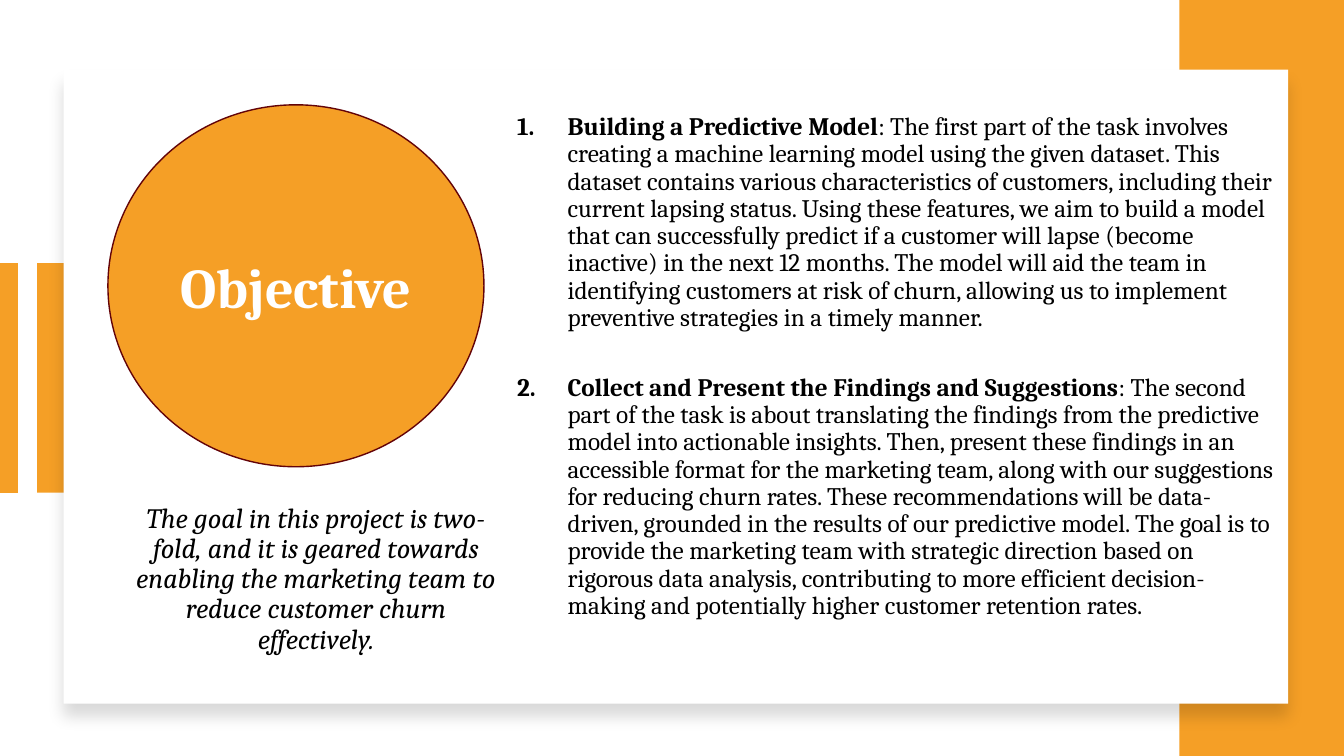
from lxml.etree import SubElement
from pptx import Presentation
from pptx.dml.color import RGBColor
from pptx.enum.shapes import MSO_CONNECTOR, MSO_SHAPE
from pptx.enum.text import MSO_ANCHOR, MSO_AUTO_SIZE, PP_ALIGN
from pptx.oxml.ns import qn
from pptx.util import Pt

COLORS = {"orange": "F59F26", "maroon": "630308", "white": "FFFFFF", "black": "000000"}
FONT = "Cambria"
GOAL = (
    "The goal in this project is two-fold, and it is geared towards enabling "
    "the marketing team to reduce customer churn effectively."
)
TASKS = [
    (
        "Building a Predictive Model",
        ": The first part of the task involves creating a machine learning model using the "
        "given dataset. This dataset contains various characteristics of customers, including "
        "their current lapsing status. Using these features, we aim to build a model that can "
        "successfully predict if a customer will lapse (become inactive) in the next 12 months. "
        "The model will aid the team in identifying customers at risk of churn, allowing us to "
        "implement preventive strategies in a timely manner.",
    ),
    (
        "Collect and Present the Findings and Suggestions",
        ": The second part of the task is about translating the findings from the predictive "
        "model into actionable insights. Then, present these findings in an accessible format "
        "for the marketing team, along with our suggestions for reducing churn rates. These "
        "recommendations will be data-driven, grounded in the results of our predictive model. "
        "The goal is to provide the marketing team with strategic direction based on rigorous "
        "data analysis, contributing to more efficient decision-making and potentially higher "
        "customer retention rates.",
    ),
]


def color(name):
    return RGBColor.from_string(COLORS[name])


def set_format(target, values):
    for name, value in values.items():
        setattr(target, name, value)


def add_filled(shapes, kind, box, fill, line=None):
    shape = shapes.add_shape(kind, *map(Pt, box))
    shape.shadow.inherit = False
    shape.fill.solid()
    shape.fill.fore_color.rgb = color(fill)
    if line:
        shape.line.color.rgb = color(line)
        shape.line.width = Pt(1)
    else:
        shape.line.fill.background()
    return shape


def add_span(para, text, size, ink="black", **values):
    span = para.add_run()
    span.text = text
    set_format(span.font, {"name": FONT, "size": Pt(size), "bold": False, "italic": False, **values})
    span.font.color.rgb = color(ink)


def place_text(page, holder, box, anchor=MSO_ANCHOR.TOP):
    page.shapes._spTree.append(holder._element)
    set_format(holder, dict(zip(("left", "top", "width", "height"), map(Pt, box))))
    frame = holder.text_frame
    set_format(frame, {
        "margin_left": 0, "margin_top": 0, "margin_right": 0, "margin_bottom": 0,
        "word_wrap": True, "auto_size": MSO_AUTO_SIZE.NONE, "vertical_anchor": anchor,
    })
    return frame


def set_indent(para, indent, number_scheme=None):
    properties = para._p.get_or_add_pPr()
    properties.set("marL", str(Pt(indent)))
    properties.set("indent", str(-Pt(indent)))
    if number_scheme:
        SubElement(properties, qn("a:buFont"), typeface=FONT)
        SubElement(properties, qn("a:buAutoNum"), type=number_scheme)
    else:
        SubElement(properties, qn("a:buNone"))


def add_left_bars(page, box):
    left, top, width, height = box
    group = page.shapes.add_group_shape()
    add_filled(group.shapes, MSO_SHAPE.RECTANGLE, (left + width - 24.5, top, 24.5, height), "orange")
    x = left + 5.8
    bar = group.shapes.add_connector(MSO_CONNECTOR.STRAIGHT, *map(Pt, (x, top, x, top + height)))
    bar.line.color.rgb = color("orange")
    bar.line.width = Pt(14)
    SubElement(bar._element.spPr, qn("a:effectLst"))


def add_card(page, box):
    card = add_filled(page.shapes, MSO_SHAPE.RECTANGLE, box, "white")
    effects = card._element.spPr.find(qn("a:effectLst"))
    shadow = SubElement(
        effects, qn("a:outerShdw"), blurRad=str(Pt(11)), dist=str(Pt(10)), dir="5400000",
        algn="t", rotWithShape="0",
    )
    shade = SubElement(shadow, qn("a:srgbClr"), val=COLORS["black"])
    SubElement(shade, qn("a:alpha"), val="15000")


def add_objective(page, box):
    add_filled(page.shapes, MSO_SHAPE.OVAL, box, "orange", "maroon")
    left, top, width, height = box
    inner = (left + 39, top + 38, width - 78, height - 76)
    para = place_text(page, page.shapes.title, inner, MSO_ANCHOR.MIDDLE).paragraphs[0]
    para.alignment = PP_ALIGN.CENTER
    add_span(para, "Objective", 40, "white", bold=True)


def add_goal(page, box):
    para = place_text(page, page.placeholders[1], box).paragraphs[0]
    set_format(para, {"alignment": PP_ALIGN.CENTER, "line_spacing": 0.9, "space_before": Pt(0)})
    set_indent(para, 0)
    add_span(para, GOAL, 20, italic=True)


def add_tasks(page, box):
    frame = place_text(page, page.placeholders[2], box)
    for index, (heading, detail) in enumerate(TASKS):
        para = frame.add_paragraph() if index else frame.paragraphs[0]
        set_format(para, {"line_spacing": 0.9, "space_before": Pt(30.7 if index else 0)})
        set_indent(para, 36, "arabicPeriod")
        add_span(para, heading, 18, bold=True)
        add_span(para, detail, 18)


def build_objective_slide(deck, box):
    left, top, width, height = box
    page = deck.slides.add_slide(deck.slide_layouts[3])
    add_left_bars(page, (left, top + 188, 51, 164))
    add_filled(page.shapes, MSO_SHAPE.RECTANGLE, (left + width - 117.6, top, 117.6, height), "orange")
    card_left, card_top = left + 45.4, top + 49.7
    add_card(page, (card_left, card_top, 874.8, 452.9))
    add_objective(page, (card_left + 31.7, card_top + 25.2, 268.6, 258.5))
    add_goal(page, (card_left + 51.8, card_top + 310.3, 257, 117.4))
    add_tasks(page, (card_left + 324, card_top + 31.7, 541.4, 396))


def main():
    deck = Presentation()
    set_format(deck, {"slide_width": Pt(960), "slide_height": Pt(540)})
    build_objective_slide(deck, (0, 0, 960, 540))
    deck.save("out.pptx")


if __name__ == "__main__":
    main()
